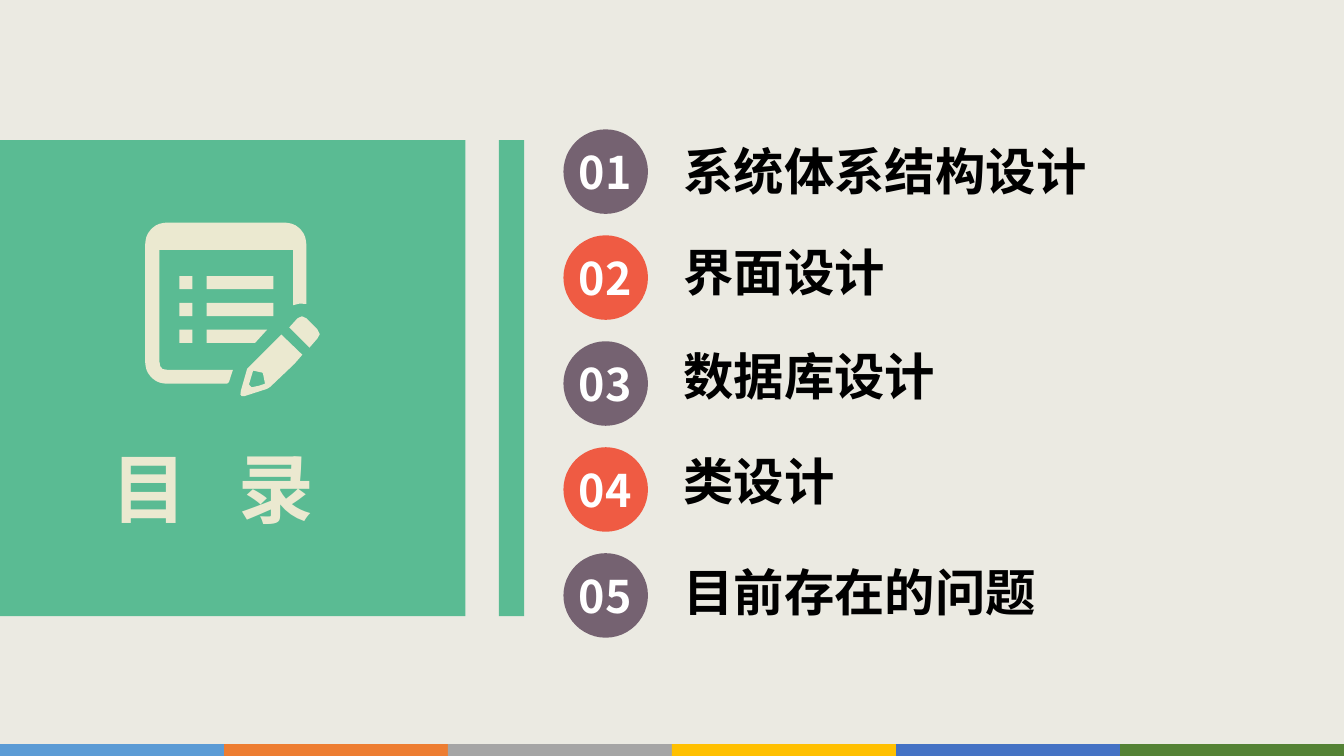
from math import cos, radians, sin

from lxml.etree import SubElement
from pptx import Presentation
from pptx.dml.color import RGBColor
from pptx.enum.shapes import MSO_SHAPE
from pptx.enum.text import MSO_ANCHOR, PP_ALIGN
from pptx.oxml.ns import qn
from pptx.util import Cm, Pt

SLIDE_W, SLIDE_H = 33.87, 19.05
CJK_FONT = "Noto Sans CJK SC"
GREEN, CREAM, PLUM, CORAL = "5ABB93", "EBE9D0", "756271", "EF5B43"
STRIP_COLORS = ["5B9BD5", "ED7D31", "A5A5A5", "FFC000", "4472C4", "548235"]

# Heading, top, width and Latin font of each entry
ENTRIES = [
    ("系统体系结构设计", 3.4, 11, CJK_FONT),
    ("界面设计", 5.94, 5.64, CJK_FONT),
    ("数据库设计", 8.56, 8.66, CJK_FONT),
    ("类设计", 11.2, 12.73, CJK_FONT),
    ("目前存在的问题", 14, 9.58, "Calibri"),
]


def color(hex_string):
    return RGBColor.from_string(hex_string)


def paint(shape, fill):
    shape.fill.solid()
    shape.fill.fore_color.rgb = color(fill)
    shape.line.fill.background()
    shape.shadow.inherit = False


def add_block(slide, box, fill, kind=MSO_SHAPE.RECTANGLE):
    paint(slide.shapes.add_shape(kind, *map(Cm, box)), fill)


def add_label(slide, box, text, size, fill, latin=CJK_FONT,
              anchor=MSO_ANCHOR.MIDDLE, align=PP_ALIGN.LEFT, spacing=0):
    frame = slide.shapes.add_textbox(*map(Cm, box)).text_frame
    frame.word_wrap = True
    frame.vertical_anchor = anchor
    frame.text = text
    paragraph = frame.paragraphs[0]
    paragraph.alignment = align
    font = paragraph.runs[0].font
    font.size, font.bold, font.name = Pt(size), True, latin
    font.color.rgb = color(fill)
    # East Asian typeface and letter spacing
    properties = paragraph.runs[0]._r.get_or_add_rPr()
    SubElement(properties, qn("a:ea")).set("typeface", CJK_FONT)
    if spacing:
        properties.set("spc", str(spacing * 100))


def add_outline(slide, left, top, *contours):
    """Draw closed contours given in hundredths of a centimetre."""
    first, *holes = contours
    builder = slide.shapes.build_freeform(*first[0], scale=Cm(0.01))
    builder.add_line_segments(first[1:], close=True)
    for hole in holes:
        builder.move_to(*hole[0])
        builder.add_line_segments(hole[1:], close=True)
    paint(builder.convert_to_shape(Cm(left), Cm(top)), CREAM)


def corner(x, y, radius, start):
    """Quarter circle, clockwise from the start angle."""
    angles = [radians(start + step) for step in range(0, 91, 10)]
    return [(x + radius * cos(a), y + radius * sin(a)) for a in angles]


def draw_notepad_icon(slide, left, top):
    # Page frame
    add_outline(slide, left, top, [
        (221, 371), (211, 402), (206, 406),
        *corner(54, 352, 54, 90), *corner(54, 54, 54, 180),
        *corner(352, 54, 54, 270),
        (406, 205), (389, 204), (373, 208), (373, 69), (36, 69),
        (36, 351), (38, 362), (44, 369), (56, 371)])

    # List lines with their markers; the last line makes room for the pencil
    for row in range(3):
        row_top = top + 1.35 + row * 0.675
        add_block(slide, (left + 0.86, row_top, 0.33, 0.33), CREAM)
        if row < 2:
            add_block(slide, (left + 1.55, row_top, 1.68, 0.33), CREAM)
    add_outline(slide, left, top,
                [(155, 270), (307, 270), (277, 303), (155, 303)])

    # Pencil body with its tip, then the eraser
    add_outline(
        slide, left, top,
        [(343, 282), (396, 333), (376, 356), (315, 414), (307, 419),
         (251, 437), (243, 437), (240, 433), (241, 424), (257, 368),
         (262, 363)],
        [(272, 373), (262, 406), (262, 409), (268, 415), (287, 411),
         (302, 406), (297, 381), (295, 378)])
    add_outline(slide, left, top, [
        (363, 264), (384, 241), (395, 236), (406, 241), (434, 269),
        (440, 281), (434, 292), (414, 315)])


def draw_title_panel(slide, left, top, width, height):
    add_block(slide, (left, top, width, height), GREEN)
    add_block(slide, (left + width + 0.84, top, 0.64, height), GREEN)
    draw_notepad_icon(slide, left + 3.66, top + 2.08)
    add_label(slide, (left + 2.57, top + 7.49, 6.1, 2.57), "目 录", 54, CREAM,
              anchor=MSO_ANCHOR.TOP, spacing=12)


def draw_entries(slide, left, top, diameter, pitch):
    for index, (heading, heading_top, heading_width, latin) in enumerate(ENTRIES):
        badge_top = top + index * pitch
        add_block(slide, (left, badge_top, diameter, diameter),
                  CORAL if index % 2 else PLUM, MSO_SHAPE.OVAL)
        add_label(slide, (left + 0.04, badge_top + 0.24, 2.03, 1.63),
                  f"{index + 1:02}", 32, "FFFFFF",
                  anchor=MSO_ANCHOR.BOTTOM, align=PP_ALIGN.CENTER)
        add_label(slide, (left + 2.77, heading_top, heading_width, 1.8),
                  heading, 36, "000000", latin)


def draw_color_strip(slide, left, top, width, height):
    step = width / len(STRIP_COLORS)
    for index, fill in enumerate(STRIP_COLORS):
        add_block(slide, (left + index * step, top, step, height), fill)


def main():
    deck = Presentation()
    deck.slide_width, deck.slide_height = Cm(SLIDE_W), Cm(SLIDE_H)
    slide = deck.slides.add_slide(deck.slide_layouts[6])
    slide.background.fill.solid()
    slide.background.fill.fore_color.rgb = color("EBEAE2")

    draw_color_strip(slide, 0, SLIDE_H - 0.3, SLIDE_W, 0.3)
    draw_title_panel(slide, 0, 3.53, 11.73, 12)
    draw_entries(slide, 14.2, 3.26, 2.13, 2.67)
    deck.save("out.pptx")


if __name__ == "__main__":
    main()
